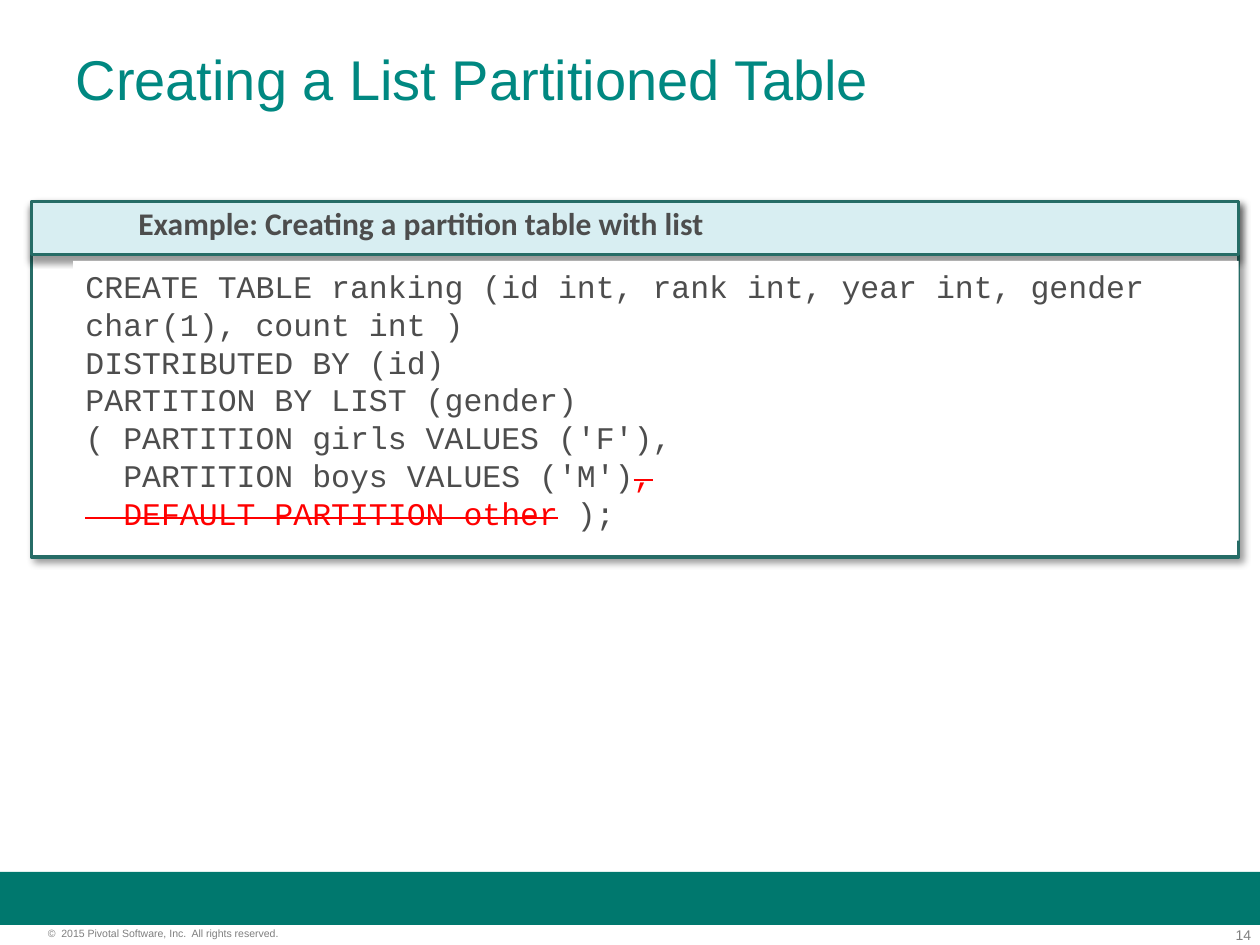
from lxml import etree
from pptx import Presentation
from pptx import util as u
from pptx.dml.color import RGBColor
from pptx.enum import shapes, text
from pptx.oxml.ns import qn

WIDTH, HEIGHT = 10, 7.5
BODY = "4D4D4D"
FOOTER = "7F7F7F"
STRUCK = {"color": "FF0000", "strike": True}
CODE = [
    [("CREATE TABLE ranking (id int, rank int, year int, gender char(1), count int )", {})],
    [("DISTRIBUTED BY (id)", {})],
    [("PARTITION BY LIST (gender)", {})],
    [("( PARTITION girls VALUES ('F'),", {})],
    [("  PARTITION boys VALUES ('M')", {}), (",", STRUCK)],
    [("  DEFAULT PARTITION other", STRUCK), (" );", {})],
]


def color(hex_string):
    return RGBColor.from_string(hex_string)


def inches(box):
    return [u.Inches(value) for value in box]


def write(shape, lines, font, size, hex_string=BODY, bold=False,
          align=text.PP_ALIGN.LEFT, margin=None, wrap=True):
    """Fill a shape with paragraphs, each a list of (words, format) runs."""
    frame = shape.text_frame
    settings = {"word_wrap": wrap, "vertical_anchor": text.MSO_ANCHOR.TOP}
    if margin is not None:
        for side in ("left", "top", "right", "bottom"):
            settings["margin_" + side] = u.Inches(margin)
    for name, value in settings.items():
        setattr(frame, name, value)
    for index, runs in enumerate(lines):
        paragraph = frame.add_paragraph() if index else frame.paragraphs[0]
        paragraph.alignment = align
        for words, style in runs:
            run = paragraph.add_run()
            run.text = words
            for name, value in {"name": font, "size": u.Pt(size), "bold": bold}.items():
                setattr(run.font, name, value)
            run.font.color.rgb = color(style.get("color", hex_string))
            if style.get("strike"):
                run.font._element.set("strike", "sngStrike")


def add_panel(parent, box, fill, line=None):
    panel = parent.add_shape(shapes.MSO_SHAPE.RECTANGLE, *inches(box))
    panel.shadow.inherit = False
    panel.fill.solid()
    panel.fill.fore_color.rgb = color(fill)
    if line:
        panel.line.color.rgb = color(line)
        panel.line.width = u.Pt(2)
    else:
        panel.line.fill.background()
    return panel


def add_shadow(shape, degrees):
    effects = shape._element.spPr.find(qn("a:effectLst"))
    shadow = etree.SubElement(effects, qn("a:outerShdw"), blurRad=str(u.Pt(4)),
                              dist=str(u.Pt(3)), dir=str(degrees * 60000),
                              algn="tl", rotWithShape="0")
    black = etree.SubElement(shadow, qn("a:srgbClr"), val="000000")
    etree.SubElement(black, qn("a:alpha"), val="40000")


def add_title(slide, box, words):
    title = slide.shapes.title
    title.left, title.top, title.width, title.height = inches(box)
    write(title, [[(words, {})]], "Arial", 32, "008881")


def add_example(slide, box, heading, code):
    """Framed code listing under a tinted heading bar."""
    left, top, width, height = box
    bar = 0.42
    group = slide.shapes.add_group_shape().shapes
    for panel_height, fill, degrees in ((height, "FFFFFF", 45), (bar, "D8EEF2", 90)):
        panel = add_panel(group, (left, top, width, panel_height), fill, "266C66")
        add_shadow(panel, degrees)
    label = group.add_textbox(*inches((left + 0.75, top - 0.03, width / 2, 0.4)))
    write(label, [[(heading, {})]], "Calibri", 18, bold=True, wrap=False)
    listing = add_panel(group, (left + 0.33, top + bar + 0.05, width - 0.33, 2.22), "FFFFFF")
    write(listing, code, "Courier New", 18)


def add_footer(slide, box, copyright_line, number):
    left, top, width, height = box
    add_panel(slide.shapes, box, "00786E")
    below = top + height + 0.01
    parts = (
        (copyright_line, left + 0.38, 6, text.PP_ALIGN.LEFT, below + 0.01),
        (number, left + width - 2.57, 8, text.PP_ALIGN.RIGHT, below),
    )
    for words, start, size, align, level in parts:
        note = slide.shapes.add_textbox(*inches((start, level, 2.5, 0.13)))
        write(note, [[(words, {})]], "Arial", size, FOOTER, align=align, margin=0)


def main():
    presentation = Presentation()
    presentation.slide_width, presentation.slide_height = inches((WIDTH, HEIGHT))
    title_only = presentation.slide_layouts[5]
    slide = presentation.slides.add_slide(title_only)
    add_footer(slide, (0, 6.92, WIDTH, 0.42),
               "©  2015 Pivotal Software, Inc.  All rights reserved.", "14")
    add_title(slide, (0.5, 0.3, WIDTH - 1, 1.25), "Creating a List Partitioned Table")
    add_example(slide, (0.25, 1.6, 9.58, 2.82),
                "Example: Creating a partition table with list", CODE)
    presentation.save("out.pptx")


if __name__ == "__main__":
    main()
